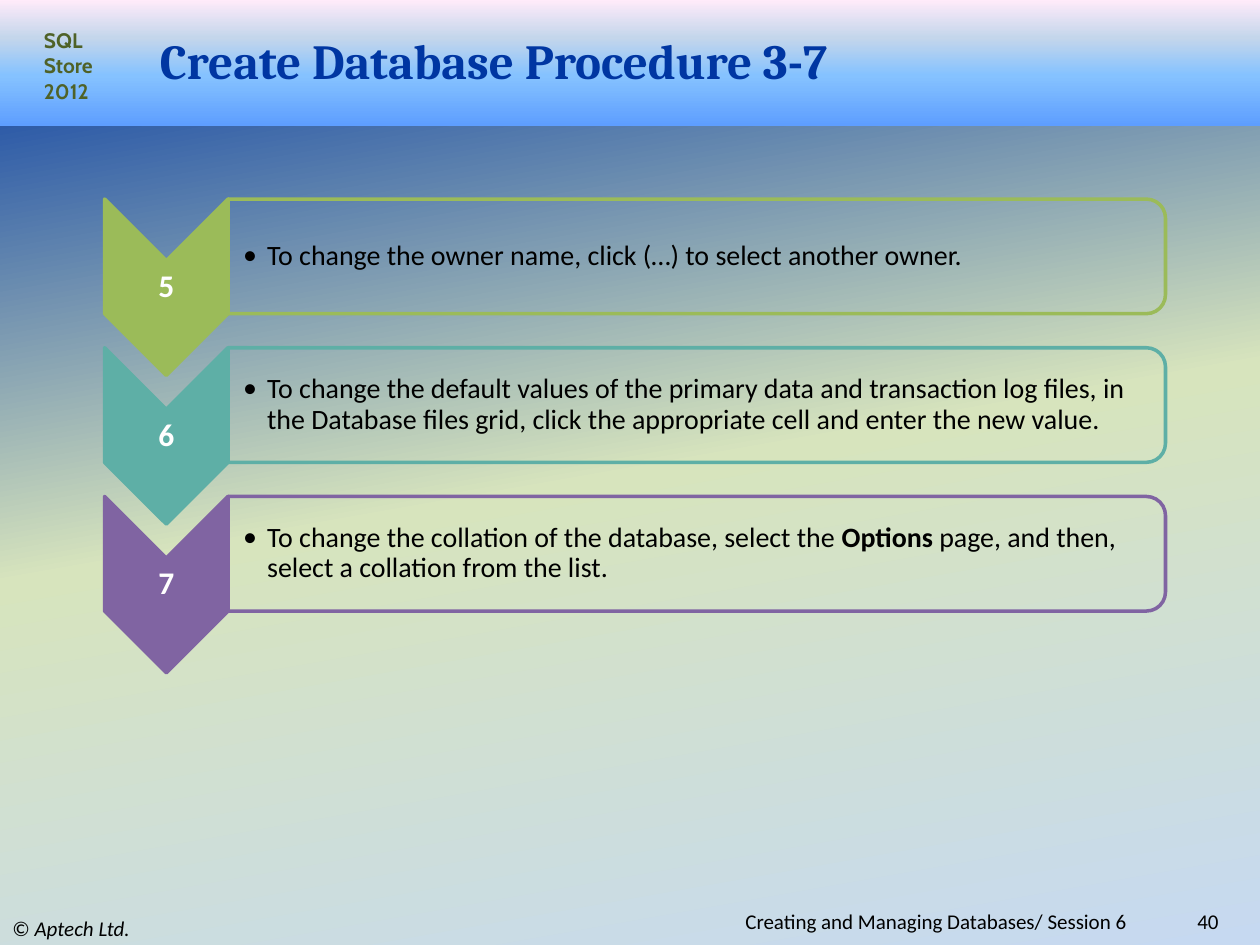
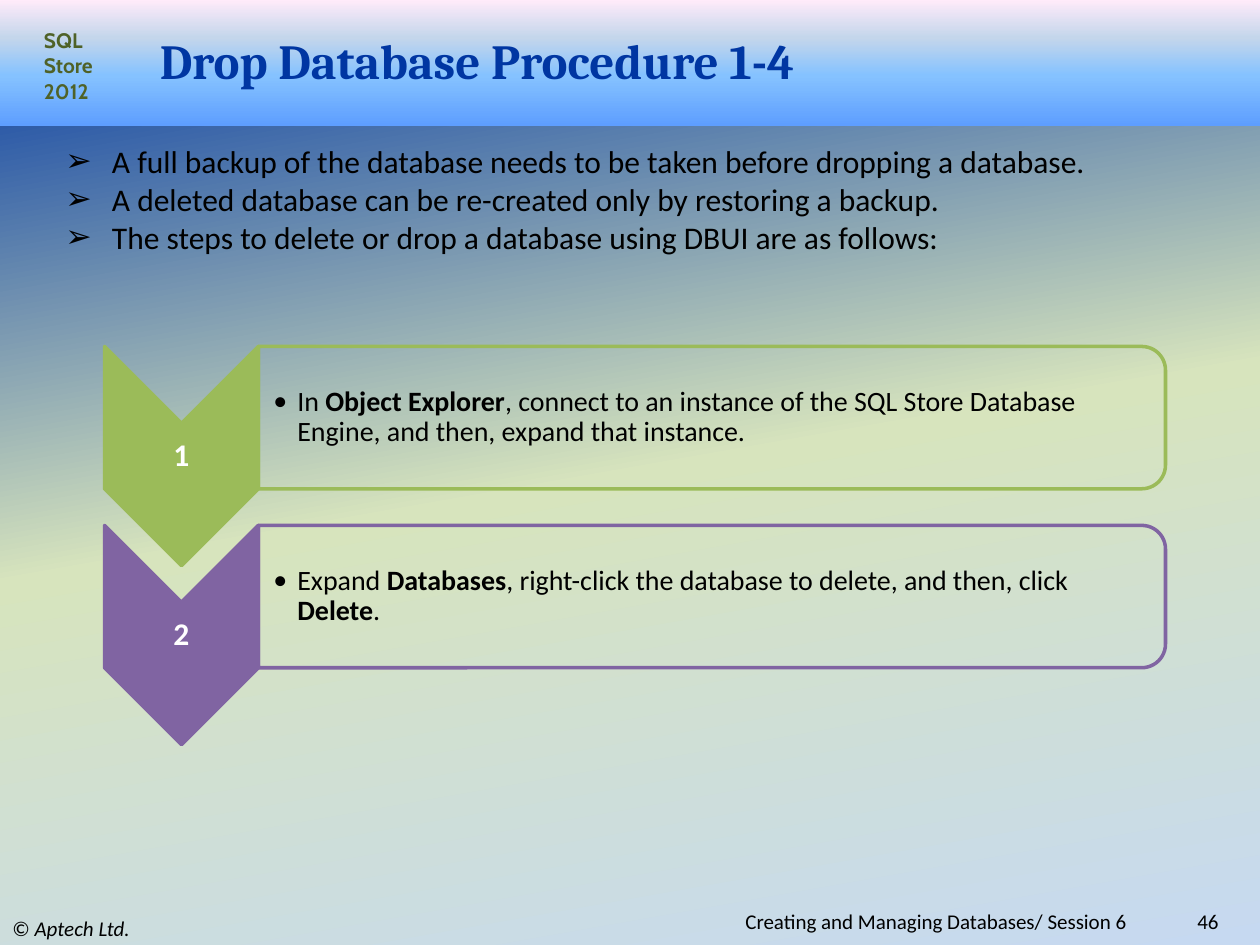
"""Build two slides of numbered database procedures."""
from dataclasses import dataclass
from typing import Any

from lxml.etree import SubElement
from pptx import Presentation
from pptx.dml.color import RGBColor
from pptx.enum.shapes import MSO_SHAPE
from pptx.enum.text import MSO_ANCHOR, MSO_AUTO_SIZE, PP_ALIGN
from pptx.oxml.ns import qn
from pptx.util import Emu, Pt

EMU_PER_PX = 9144
PAGE_WIDTH, PAGE_HEIGHT = 1000, 750
BLANK_LAYOUT = 6

BLACK, WHITE = "000000", "FFFFFF"
NAVY, OLIVE, RED = "0036A2", "4F6228", "C00000"
GREEN, TEAL, PURPLE = "9BBB59", "5EAFA6", "8064A2"
PAGE_GRADIENT = ((0, NAVY), (50, "D7E4BD"), (100, "C6D9F1"))
BAND_GRADIENT = ((0, "5E9EFF"), (40, "85C2FF"), (70, "C4D6EB"), (100, "FFEBFA"))

STEPS_LEFT, STEPS_RIGHT = 83, 925


@dataclass(frozen=True)
class Area:
    """A rectangle in px."""
    left: float
    top: float
    width: float
    height: float

    def emus(self) -> tuple[Emu, ...]:
        """Return the four lengths in EMU."""
        return tuple(emu(px) for px in (self.left, self.top, self.width, self.height))

    def before_quarter_turn(self) -> "Area":
        """Return the frame that covers this area once rotated by 90 degrees."""
        shift = (self.width - self.height) / 2
        return Area(self.left + shift, self.top - shift, self.height, self.width)


@dataclass(frozen=True)
class Step:
    """A numbered instruction; ** marks bold words."""
    number: int
    text: str
    colour: str


@dataclass(frozen=True)
class StepGrid:
    """Sizes of a stack of steps in px."""
    top: int
    pitch: int
    chevron_width: int
    chevron_height: int
    body_height: int


@dataclass(frozen=True)
class Procedure:
    """The content of one slide."""
    title: str
    number: int
    grid: StepGrid
    steps: tuple[Step, ...]
    intro: tuple[str, ...] = ()


PROCEDURES = (
    Procedure(
        "Create Database Procedure 3-7", 40, StepGrid(158, 118, 98, 140, 91),
        (
            Step(5, "To change the owner name, click (…) to select another owner.", GREEN),
            Step(6, "To change the default values of the primary data and transaction log "
                    "files, in the Database files grid, click the appropriate cell and "
                    "enter the new value.", TEAL),
            Step(7, "To change the collation of the database, select the **Options** page, "
                    "and then, select a collation from the list.", PURPLE),
        ),
    ),
    Procedure(
        "Drop Database Procedure 1-4", 46, StepGrid(275, 142, 122, 174, 113),
        (
            Step(1, "In **Object Explorer**, connect to an instance of the SQL Store "
                    "Database Engine, and then, expand that instance.", GREEN),
            Step(2, "Expand **Databases**, right-click the database to delete, and then, "
                    "click **Delete**.", PURPLE),
        ),
        (
            "A full backup of the database needs to be taken before dropping a database.",
            "A deleted database can be re-created only by restoring a backup.",
            "The steps to delete or drop a database using DBUI are as follows:",
        ),
    ),
)


def emu(px: float) -> Emu:
    """Turn px into EMU."""
    return Emu(round(px * EMU_PER_PX))


def rgb(colour: str) -> RGBColor:
    """Turn a hex string into a colour."""
    return RGBColor.from_string(colour)


def paint_gradient(owner: Any, fill: Any, stops: tuple, angle: int) -> None:
    """Fill an object with a linear gradient whose angle runs clockwise."""
    fill.gradient()
    fill.gradient_angle = (360 - angle) % 360
    stop_list = next(owner.element.iter(qn("a:gsLst")))
    for old_stop in list(stop_list):
        stop_list.remove(old_stop)
    for percent, colour in stops:
        stop = SubElement(stop_list, qn("a:gs"), pos=str(percent * 1000))
        SubElement(stop, qn("a:srgbClr"), val=colour)


def outline_span(span: Any, colour: str) -> None:
    """Give a span a hairline, half transparent outline."""
    properties = span._r.get_or_add_rPr()
    line = SubElement(properties, qn("a:ln"), w="889")
    solid = SubElement(line, qn("a:solidFill"))
    tint = SubElement(solid, qn("a:srgbClr"), val=colour)
    SubElement(tint, qn("a:alpha"), val="55000")
    properties.insert(0, line)


def add_text(page: Any, area: Area, *texts: str, size: int = 12, font: str = "Calibri",
             colour: str = BLACK, bold: bool = False, italic_marks: bool = False,
             align: PP_ALIGN = PP_ALIGN.LEFT, anchor: MSO_ANCHOR = MSO_ANCHOR.MIDDLE,
             grow: bool = False, insets: tuple[int, int] | None = None,
             bullet: str = "", indent: int = 0, line_spacing: float = 1.0,
             outline: str = "") -> None:
    """Add a text box with one paragraph per text; ** marks emphasised words."""
    box = page.shapes.add_textbox(*area.emus())
    frame = box.text_frame
    frame.word_wrap = True
    frame.vertical_anchor = anchor
    frame.auto_size = MSO_AUTO_SIZE.SHAPE_TO_FIT_TEXT if grow else MSO_AUTO_SIZE.NONE
    if insets:
        frame.margin_left = emu(insets[0])
        frame.margin_top = frame.margin_right = frame.margin_bottom = emu(insets[1])
    for index, text in enumerate(texts):
        para = frame.add_paragraph() if index else frame.paragraphs[0]
        para.alignment = align
        para.line_spacing = line_spacing
        if bullet:
            properties = para._p.get_or_add_pPr()
            properties.set("marL", str(emu(indent)))
            properties.set("indent", str(-emu(indent)))
            SubElement(properties, qn("a:buFont"), typeface=font)
            SubElement(properties, qn("a:buChar"), char=bullet)
        for position, words in enumerate(text.split("**")):
            if not words:
                continue
            span = para.add_run()
            span.text = words
            marked = position % 2 == 1
            span.font.name = font
            span.font.size = Pt(size)
            span.font.color.rgb = rgb(colour)
            span.font.bold = bold or (marked and not italic_marks)
            span.font.italic = marked and italic_marks
            if outline:
                outline_span(span, outline)


def add_turned_shape(page: Any, kind: MSO_SHAPE, area: Area, colour: str, filled: bool) -> None:
    """Add a preset shape rotated by 90 degrees that covers the area."""
    shape = page.shapes.add_shape(kind, *area.before_quarter_turn().emus())
    shape.rotation = 90
    shape.shadow.inherit = False
    if filled:
        shape.fill.solid()
        shape.fill.fore_color.rgb = rgb(colour)
    else:
        shape.fill.background()
    shape.line.color.rgb = rgb(colour)
    shape.line.width = Pt(2)
    SubElement(next(shape.element.iter(qn("a:ln"))), qn("a:round"))


def add_step(page: Any, step: Step, grid: StepGrid, top: int) -> None:
    """Draw a chevron with its number and the framed instruction beside it."""
    width, height = grid.chevron_width, grid.chevron_height
    body_left = STEPS_LEFT + width
    body = Area(body_left, top, STEPS_RIGHT - body_left, grid.body_height)
    add_turned_shape(page, MSO_SHAPE.CHEVRON, Area(STEPS_LEFT, top, width, height),
                     step.colour, True)
    add_text(page, Area(STEPS_LEFT, top + width // 2, width, height - width),
             str(step.number), size=18, colour=WHITE, bold=True,
             align=PP_ALIGN.CENTER, insets=(1, 1), line_spacing=0.9)
    add_turned_shape(page, MSO_SHAPE.ROUND_2_SAME_RECTANGLE, body, step.colour, False)
    pad = body.height // 20
    add_text(page, Area(body.left, top + pad, body.width - 3 * pad, body.height - 2 * pad),
             step.text, size=16, insets=(12, 1), bullet="•", indent=19, line_spacing=0.9)


def add_page_frame(page: Any, title: str, number: int) -> None:
    """Draw the background, title band and footers."""
    paint_gradient(page, page.background.fill, PAGE_GRADIENT, 80)
    band = page.shapes.add_shape(MSO_SHAPE.RECTANGLE, *Area(0, 0, PAGE_WIDTH, 100).emus())
    band.shadow.inherit = False
    band.line.fill.background()
    paint_gradient(band, band.fill, BAND_GRADIENT, 270)
    add_text(page, Area(0, 723, 333, 27), "© **Aptech Ltd.**", italic_marks=True)
    add_text(page, Area(25, 17, 75, 71), "SQL Store 2012", font="Cabin", colour=OLIVE,
             bold=True, anchor=MSO_ANCHOR.TOP, grow=True)
    add_text(page, Area(892, 722, 85, 18), str(number), align=PP_ALIGN.RIGHT)
    add_text(page, Area(250, 722, 658, 18), "Creating and Managing Databases/ Session 6 ",
             align=PP_ALIGN.RIGHT)
    add_text(page, Area(117, 25, 833, 45), title, size=28, font="Cambria", colour=NAVY,
             bold=True, outline=RED)


def add_procedure(deck: Any, procedure: Procedure) -> None:
    """Add the slide of one procedure."""
    page = deck.slides.add_slide(deck.slide_layouts[BLANK_LAYOUT])
    add_page_frame(page, procedure.title, procedure.number)
    if procedure.intro:
        add_text(page, Area(42, 108, 875, 101), *procedure.intro, size=18,
                 anchor=MSO_ANCHOR.TOP, grow=True, bullet="➢", indent=37)
    grid = procedure.grid
    for row, step in enumerate(procedure.steps):
        add_step(page, step, grid, grid.top + row * grid.pitch)


def main() -> None:
    """Build and save the deck."""
    deck = Presentation()
    deck.slide_width, deck.slide_height = emu(PAGE_WIDTH), emu(PAGE_HEIGHT)
    for procedure in PROCEDURES:
        add_procedure(deck, procedure)
    deck.save("out.pptx")


if __name__ == "__main__":
    main()
